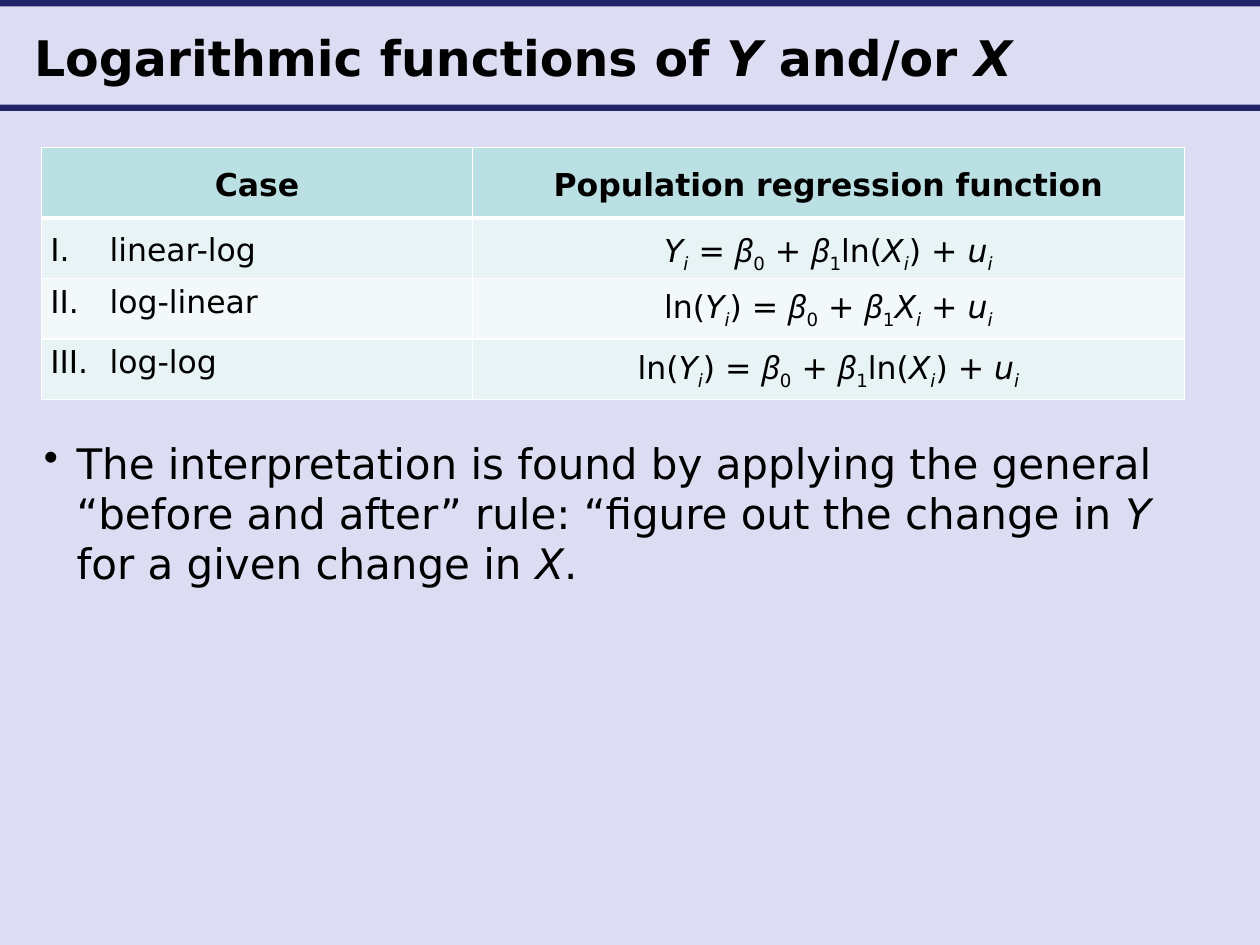
from lxml.etree import SubElement as Sub
from pptx import Presentation
from pptx.dml.color import RGBColor as RGB
from pptx.enum.shapes import MSO_SHAPE as Shape
from pptx.enum.text import MSO_ANCHOR as Anchor, MSO_AUTO_SIZE as Auto, PP_ALIGN as Align
from pptx.oxml.ns import qn
from pptx.util import Inches, Pt

BACK = RGB(0xDC, 0xDC, 0xF3)
NAVY = RGB(0x22, 0x22, 0x67)
BLACK = RGB(0, 0, 0)
WHITE = RGB(0xFF, 0xFF, 0xFF)
HEAD = RGB(0xBB, 0xE0, 0xE3)
BANDS = [RGB(0xE7, 0xF3, 0xF4), RGB(0xF3, 0xF9, 0xFA)]
FONT, GREEK = "DejaVu Sans", "Noto Sans"

# Runs are split by "|"; a first mark sets the style: (italic, lowered)
MARKS = {"*": (True, False), "_": (False, True), "~": (True, True)}
TITLE = "Logarithmic functions of |*Y| and/or |*X"
HEADS = ["Case", "Population regression function"]
LOG_X = "ln(|*X|~i|)"
BETAS = " = |*β|_0| + |*β|_1|"
ERROR = " + |*u|~i"
CASES = [
    ("I.\tlinear-log", "*Y|~i|" + BETAS + LOG_X + ERROR),
    ("II.\tlog-linear", "ln(|*Y|~i|)" + BETAS + "*X|~i|" + ERROR),
    ("III.\tlog-log", "ln(|*Y|~i|)" + BETAS + LOG_X + ERROR),
]
RULE = ("The interpretation is found by applying the general “before and after” "
        "rule: “figure out the change in |*Y| for a given change in |*X|.")


def grid(*cells):
    """Turn grid cells, twelve to the inch, into lengths."""
    return [Inches(round(n / 12, 2)) for n in cells]


def write(para, text, size, bold=False):
    """Fill a paragraph with marked runs."""
    for part in text.split("|"):
        slant, low = MARKS.get(part[0], (False, False))
        run = para.add_run()
        run.text = part[1:] if slant or low else part
        font = run.font
        font.name = GREEK if run.text == "β" else FONT
        font.size, font.bold, font.italic = Pt(size), bold, slant
        font.color.rgb = BLACK
        if low:
            font._element.set("baseline", "-25000")


def hang(para, inches):
    """Indent all lines but the first."""
    props = para._p.get_or_add_pPr()
    props.set("marL", str(Inches(inches)))
    props.set("indent", str(-Inches(inches)))
    return props


def add_bar(slide, top):
    bar = slide.shapes.add_shape(Shape.RECTANGLE, *grid(0, top, 120, 0.6))
    bar.shadow.inherit = False
    bar.fill.solid()
    bar.fill.fore_color.rgb = NAVY
    bar.line.fill.background()


def set_title(slide):
    title = slide.shapes.title
    title.left, title.top, title.width, title.height = grid(2, 1, 115, 9)
    frame = title.text_frame
    frame.auto_size = Auto.NONE
    frame.vertical_anchor = Anchor.MIDDLE
    para = frame.paragraphs[0]
    para.alignment = Align.LEFT
    write(para, TITLE, 28, bold=True)


def edge(cell, **widths):
    props = cell._tc.get_or_add_tcPr()
    for side, width in widths.items():
        line = Sub(props, qn("a:ln" + side), w=str(Pt(width)))
        fill = Sub(line, qn("a:solidFill"))
        Sub(fill, qn("a:srgbClr"), val=str(WHITE))


def set_cell(cell, text, row, col):
    edge(cell, L=1, R=1, T=3 if row == 1 else 1, B=1 if row else 3)
    cell.fill.solid()
    cell.fill.fore_color.rgb = BANDS[(row - 1) % 2] if row else HEAD
    cell.margin_left = cell.margin_right = Inches(0.07)
    cell.margin_top = cell.margin_bottom = 0
    cell.vertical_anchor = Anchor.MIDDLE if row < 2 else Anchor.TOP
    para = cell.text_frame.paragraphs[0]
    para.line_spacing = 1.15
    if row and not col:
        hang(para, 0.47)
    else:
        para.alignment = Align.CENTER
    write(para, text, 18, bold=not row)


def add_cases(slide):
    rows = [HEADS] + CASES
    table = slide.shapes.add_table(len(rows), 2, *grid(4, 14, 108.8, 24)).table
    for col, width in zip(table.columns, grid(41, 67.8)):
        col.width = width
    for row, height in zip(table.rows, grid(6.7, 5.8, 5.8, 5.8)):
        row.height = height
    for r, texts in enumerate(rows):
        for c, text in enumerate(texts):
            set_cell(table.cell(r, c), text, r, c)


def add_rule(slide):
    frame = slide.shapes.add_textbox(*grid(3, 41, 112, 34)).text_frame
    frame.word_wrap = True
    frame.margin_right = 0
    para = frame.paragraphs[0]
    para.space_after = Pt(18)
    Sub(hang(para, 0.26), qn("a:buChar"), char="•")
    write(para, RULE, 24)


def main():
    deck = Presentation()
    deck.slide_width, deck.slide_height = grid(120, 90)
    slide = deck.slides.add_slide(deck.slide_layouts[5])
    slide.background.fill.solid()
    slide.background.fill.fore_color.rgb = BACK
    for top in (0, 10):
        add_bar(slide, top)
    set_title(slide)
    add_cases(slide)
    add_rule(slide)
    deck.save("out.pptx")


if __name__ == "__main__":
    main()
